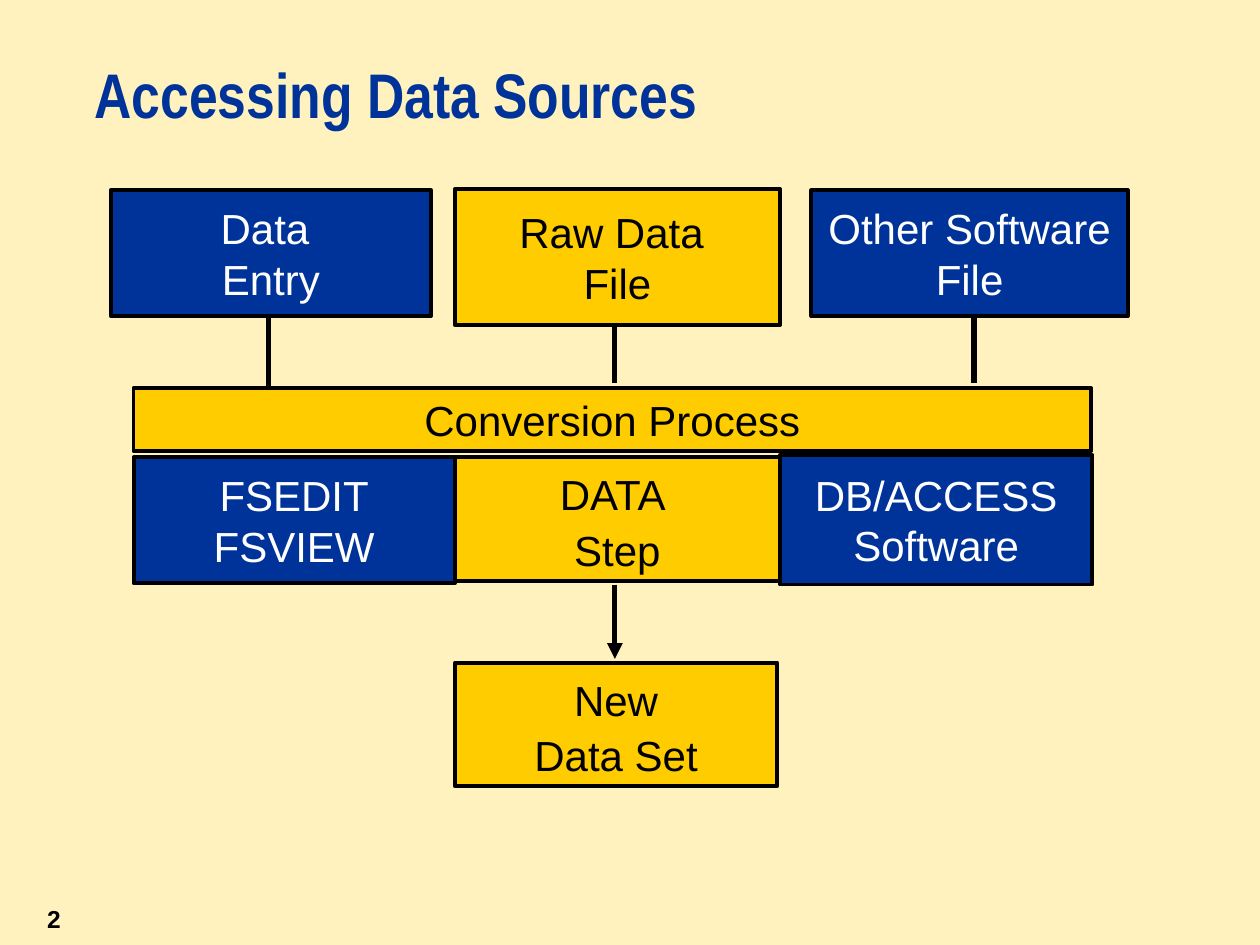
"""Build a slide that shows how data sources are converted into a data set."""
import pptx
import pptx.dml.color
import pptx.enum.shapes
import pptx.enum.text
import pptx.oxml.ns
import pptx.util
from lxml import etree

THEME = {
    "page": "FFF2BE", "ink": "000000", "title": "003399",
    "title_size": 36, "box_size": 24, "number_size": 14,
    "title_font": "Arial Narrow", "font": "Arial",
    "border": 2.25, "flow": 3,
    "source": {"fill": "003399", "text": "FFFFFF"},
    "step": {"fill": "FFCC00", "text": "000000"},
}
SLIDE_SIZE = (10, 7.5)
GRID = (100, 75)

TITLE = ("Accessing Data Sources", (7.5, 5, 83.3, 7.5))
PAGE_NUMBER = ("2", (0, 70.8, 5.8, 4.2))
BOXES = [
    ("Data \vEntry", "source", (8.8, 15.1, 25.4, 10), 1),
    ("Raw Data \vFile", "step", (36.1, 15, 25.8, 10.8), 1),
    ("Other Software File", "source", (64.4, 15.1, 25.1, 10), 1),
    ("Conversion Process", "step", (10.6, 30.8, 76, 5), 1),
    ("DATA \vStep", "step", (36.1, 36.3, 25.8, 9.8), 1.1),
    ("DB/ACCESS Software", "source", (61.9, 36.1, 24.8, 10.3), 1),
    ("New\vData Set", "step", (36.1, 52.6, 25.6, 9.8), 1.1),
    ("FSEDIT\vFSVIEW", "source", (10.6, 36.3, 25.5, 10), 1),
]
FLOWS = [
    (21.3, 24.9, 30.7, False),
    (48.8, 24.6, 30.4, False),
    (77.3, 24.6, 30.4, False),
    (48.8, 46.4, 52.3, True),
]

ANCHOR = pptx.enum.text.MSO_ANCHOR
ALIGN = pptx.enum.text.PP_ALIGN


def color(value):
    return pptx.dml.color.RGBColor.from_string(value)


def across(columns):
    return pptx.util.Inches(columns * SLIDE_SIZE[0] / GRID[0])


def down(rows):
    return pptx.util.Inches(rows * SLIDE_SIZE[1] / GRID[1])


def place(area):
    left, top, width, height = area
    return across(left), down(top), across(width), down(height)


def apply(target, values):
    for name, value in values.items():
        setattr(target, name, value)


def write(shape, words, ink, frame, paragraph, font):
    text = shape.text_frame
    text.text = words
    apply(text, frame)
    apply(text.paragraphs[0], {"space_before": pptx.util.Pt(0), **paragraph})
    for run in text.paragraphs[0].runs:
        apply(run.font, font)
        run.font.color.rgb = color(ink)


def insets(sides, ends):
    return {"margin_left": pptx.util.Inches(sides), "margin_right": pptx.util.Inches(sides),
            "margin_top": pptx.util.Inches(ends), "margin_bottom": pptx.util.Inches(ends)}


def add_title(slide):
    words, area = TITLE
    title = slide.shapes.title
    apply(title, dict(zip(("left", "top", "width", "height"), place(area))))
    write(title, words, THEME["title"],
          {"vertical_anchor": ANCHOR.TOP, "word_wrap": True,
           "auto_size": pptx.enum.text.MSO_AUTO_SIZE.NONE, **insets(0, 0)},
          {"alignment": ALIGN.LEFT, "line_spacing": pptx.util.Pt(39)},
          {"name": THEME["title_font"], "size": pptx.util.Pt(THEME["title_size"]), "bold": True})


def add_page_number(slide):
    words, area = PAGE_NUMBER
    write(slide.shapes.add_textbox(*place(area)), words, THEME["ink"],
          {"vertical_anchor": ANCHOR.MIDDLE, "word_wrap": True, **insets(0.1, 0.05)},
          {"alignment": ALIGN.RIGHT},
          {"name": THEME["font"], "size": pptx.util.Pt(THEME["number_size"]), "bold": True})


def add_box(slide, words, role, area, spacing):
    box = slide.shapes.add_shape(pptx.enum.shapes.MSO_SHAPE.RECTANGLE, *place(area))
    box.shadow.inherit = False
    box.fill.solid()
    box.fill.fore_color.rgb = color(THEME[role]["fill"])
    box.line.color.rgb = color(THEME["ink"])
    box.line.width = pptx.util.Pt(THEME["border"])
    write(box, words, THEME[role]["text"],
          {"vertical_anchor": ANCHOR.MIDDLE, "word_wrap": True, **insets(0.1, 0.05)},
          {"alignment": ALIGN.CENTER, "line_spacing": spacing},
          {"name": THEME["font"], "size": pptx.util.Pt(THEME["box_size"])})


def add_flow(slide, column, start, end, arrow):
    flow = slide.shapes.add_connector(
        pptx.enum.shapes.MSO_CONNECTOR.STRAIGHT,
        across(column), down(start), across(column), down(end))
    flow.line.color.rgb = color(THEME["ink"])
    flow.line.width = pptx.util.Pt(THEME["flow"])
    if arrow:
        etree.SubElement(flow.line._get_or_add_ln(), pptx.oxml.ns.qn("a:tailEnd"), type="triangle")
    etree.SubElement(flow._element.spPr, pptx.oxml.ns.qn("a:effectLst"))


def main():
    deck = pptx.Presentation()
    deck.slide_width, deck.slide_height = map(pptx.util.Inches, SLIDE_SIZE)
    slide = deck.slides.add_slide(deck.slide_layouts.get_by_name("Title Only"))
    slide.background.fill.solid()
    slide.background.fill.fore_color.rgb = color(THEME["page"])
    add_page_number(slide)
    add_title(slide)
    for flow in FLOWS:
        add_flow(slide, *flow)
    for box in BOXES:
        add_box(slide, *box)
    deck.save("out.pptx")


if __name__ == "__main__":
    main()
